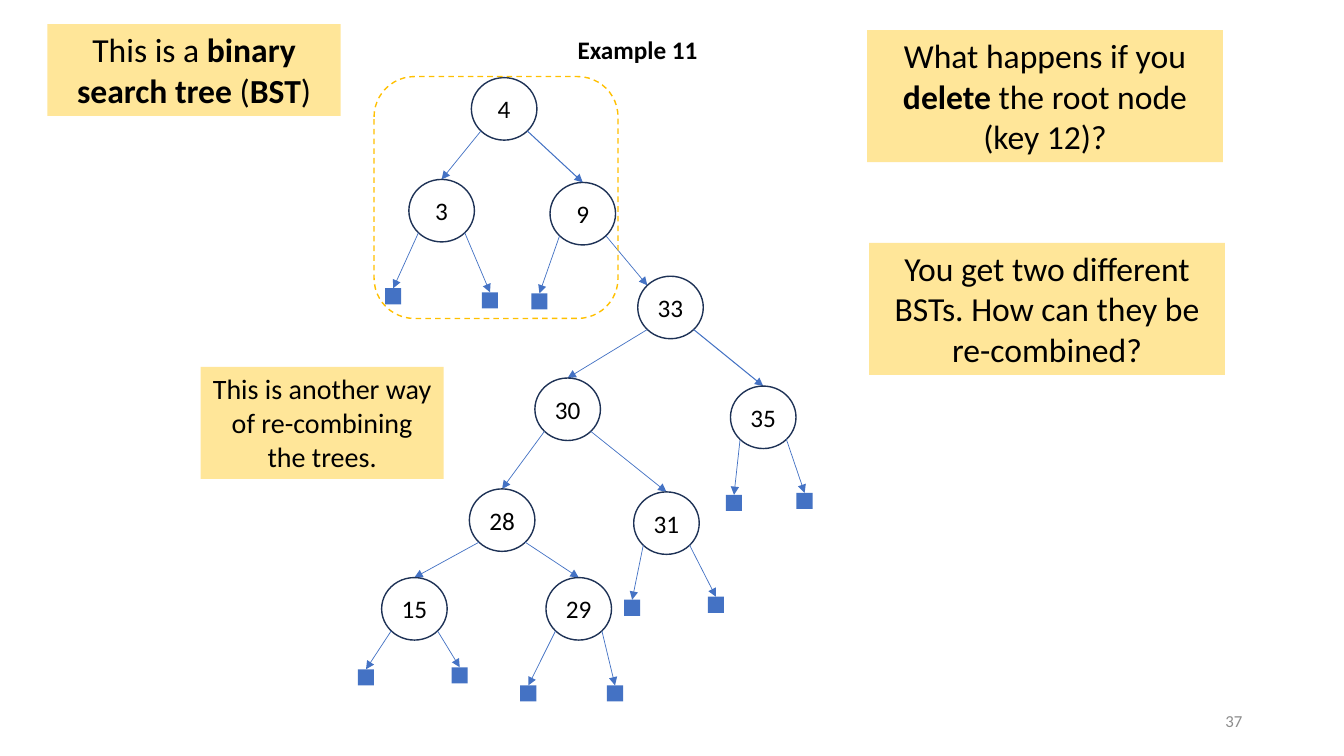
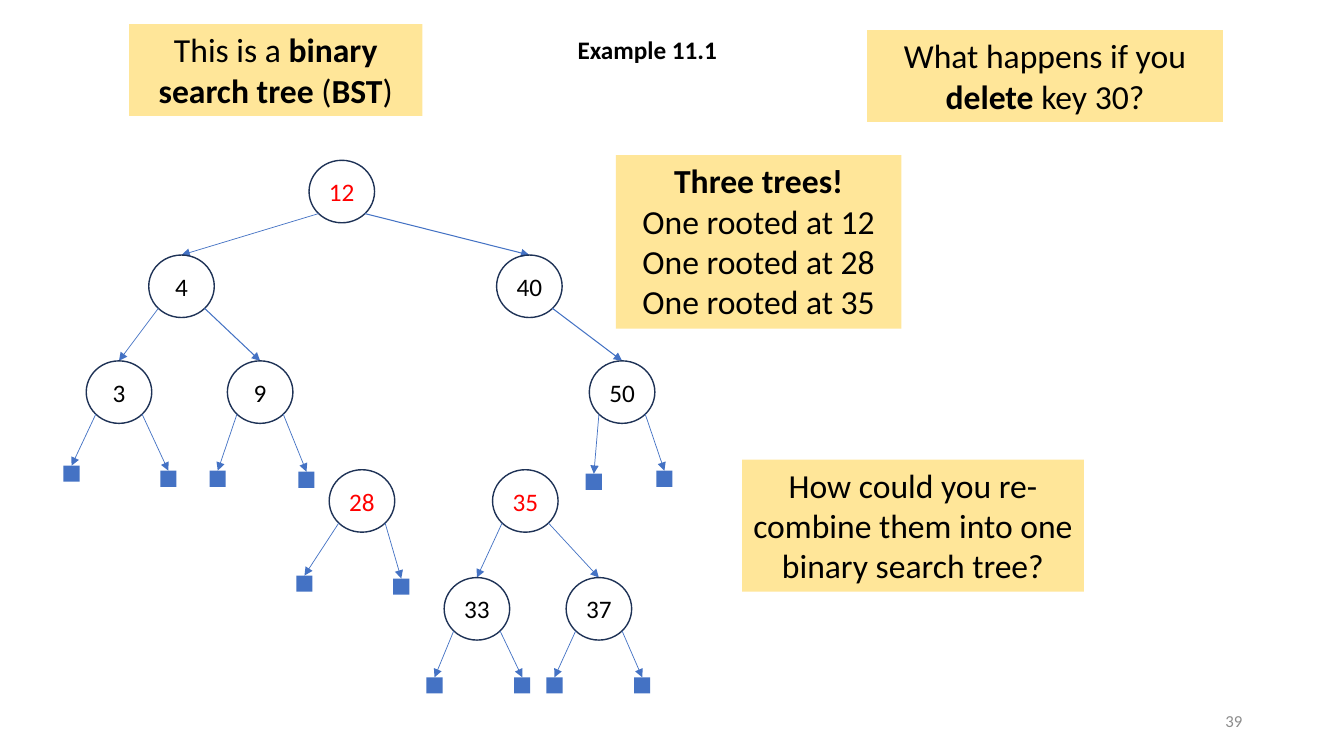
from dataclasses import dataclass
from math import sqrt
from typing import Optional

from lxml.etree import SubElement
from pptx import Presentation
from pptx.dml.color import RGBColor
from pptx.enum.dml import MSO_LINE
from pptx.enum.shapes import MSO_CONNECTOR, MSO_SHAPE
from pptx.enum.text import MSO_ANCHOR, MSO_AUTO_SIZE, PP_ALIGN
from pptx.oxml.ns import qn
from pptx.util import Inches, Pt

COLORS = {
    "note": "FFE699", "text": "000000", "root": "FF0000", "number": "8C8C8C",
    "circle": "1E3256", "edge": "4472C4", "frame": "FFC000",
}
FONT = "Calibri"

# Boxes are (column, row, columns, rows) on a grid of one-inch cells
SLIDE_COLUMNS, SLIDE_ROWS = 13.33, 7.5
TITLE_BOX = (5.63, 0.29, 1.6, 0.4)
NUMBER_BOX = (9.42, 6.95, 3, 0.4)
NODE_WIDTH, NODE_HEIGHT, LEAF_SIZE = 0.65, 0.62, 0.16
DIAGONAL = sqrt(0.5) / 2  # share of an ellipse's size, from centre to diagonal point


@dataclass
class Node:
    """A tree node: its top centre is an offset from its parent's top centre."""
    key: Optional[int]
    across: float
    down: float
    children: tuple = ()
    edge: float = 0.5
    color: str = "text"
    enter_left: bool = False


def leaf(across, down):
    return Node(None, across, down)


def rgb(name):
    return RGBColor.from_string(COLORS[name])


def apply(target, formats):
    for name, value in formats.items():
        setattr(target, name, value)


def write(shape, text, size, color="text", align=PP_ALIGN.CENTER, **frame_formats):
    """Fill a shape with text; **double stars** mark bold, a newline breaks the line."""
    frame = shape.text_frame
    apply(frame, {"word_wrap": True, **frame_formats})
    paragraph = frame.paragraphs[0]
    paragraph.alignment = align
    for index, part in enumerate(text.split("**")):
        for line_index, line in enumerate(part.split("\n")):
            if line_index:
                paragraph.add_line_break()
            if line:
                run = paragraph.add_run()
                run.text = line
                apply(run.font, {"name": FONT, "size": Pt(size), "bold": index % 2 == 1})
                run.font.color.rgb = rgb(color)


def add_shape(slide, kind, box, fill=None, line=None):
    shape = slide.shapes.add_shape(kind, *map(Inches, box))
    shape.shadow.inherit = False
    if fill:
        shape.fill.solid()
        shape.fill.fore_color.rgb = rgb(fill)
    else:
        shape.fill.background()
    if line:
        shape.line.color.rgb = rgb(line)
        shape.line.width = Pt(1)
    else:
        shape.line.fill.background()
    return shape


def add_text(slide, box, text, size, **formats):
    write(slide.shapes.add_textbox(*map(Inches, box)), text, size, **formats)


def add_note(slide, box, text, size=24):
    note = add_shape(slide, MSO_SHAPE.RECTANGLE, box, fill="note")
    write(note, text, size, vertical_anchor=MSO_ANCHOR.TOP,
          auto_size=MSO_AUTO_SIZE.SHAPE_TO_FIT_TEXT)


def add_arrow(slide, start, end, width):
    arrow = slide.shapes.add_connector(MSO_CONNECTOR.STRAIGHT, *map(Inches, start + end))
    arrow.line.color.rgb = rgb("edge")
    arrow.line.width = Pt(width)
    SubElement(arrow.line._get_or_add_ln(), qn("a:tailEnd"), type="triangle")
    SubElement(arrow._element.spPr, qn("a:effectLst"))


def diagonal_point(center_x, top, side, vertical):
    """Point on a node's outline: side and vertical are -1 or 1."""
    return (center_x + side * DIAGONAL * NODE_WIDTH,
            top + NODE_HEIGHT / 2 + vertical * DIAGONAL * NODE_HEIGHT)


def add_tree(slide, node, origin=(0, 0)):
    """Draw a node and everything below it, relative to the origin."""
    x, top = origin[0] + node.across, origin[1] + node.down
    if node.key is None:
        add_shape(slide, MSO_SHAPE.RECTANGLE,
                  (x - LEAF_SIZE / 2, top, LEAF_SIZE, LEAF_SIZE), fill="edge")
        return
    circle = add_shape(slide, MSO_SHAPE.OVAL,
                       (x - NODE_WIDTH / 2, top, NODE_WIDTH, NODE_HEIGHT), line="circle")
    write(circle, str(node.key), 18, node.color, vertical_anchor=MSO_ANCHOR.MIDDLE,
          margin_left=0, margin_right=0, margin_top=0, margin_bottom=0)
    for child in node.children:
        side = 1 if child.across > 0 else -1
        end = (x + child.across, top + child.down)
        if child.enter_left:
            end = diagonal_point(*end, -1, -1)
        add_arrow(slide, diagonal_point(x, top, side, 1), end, child.edge)
        add_tree(slide, child, (x, top))


def add_example(presentation, title, number, notes, trees, frame=None):
    slide = presentation.slides.add_slide(presentation.slide_layouts[6])
    add_text(slide, TITLE_BOX, f"**{title}**", 18, align=PP_ALIGN.LEFT, word_wrap=False)
    for note in notes:
        add_note(slide, *note)
    for tree in trees:
        add_tree(slide, tree)
    if frame:
        outline = add_shape(slide, MSO_SHAPE.ROUNDED_RECTANGLE, frame, line="frame")
        outline.line.dash_style = MSO_LINE.DASH
    add_text(slide, NUMBER_BOX, str(number), 12, color="number", align=PP_ALIGN.RIGHT,
             vertical_anchor=MSO_ANCHOR.MIDDLE)


BST_TEXT = "This is a **binary search tree** (**BST**)"

# Recombined tree
NODE_15 = Node(15, -0.87, 0.88, (leaf(-0.48, 0.91), leaf(0.45, 0.89)))
NODE_29 = Node(29, 0.76, 0.88, (leaf(-0.5, 1.07), leaf(0.36, 1.07)))
NODE_28 = Node(28, -0.65, 1.1, (NODE_15, NODE_29))
NODE_31 = Node(31, 0.98, 1.13, (leaf(-0.34, 1.07), leaf(0.49, 1.04)))
NODE_30 = Node(30, -1.02, 1.01, (NODE_28, NODE_31))
NODE_35 = Node(35, 0.92, 1.09, (leaf(-0.29, 1.08), leaf(0.41, 1.06)), edge=0.75)
NODE_33 = Node(33, 0.87, 0.93, (NODE_30, NODE_35), enter_left=True)
RECOMBINED = Node(4, 5, 0.77, (
    Node(3, -0.62, 1.01, (leaf(-0.48, 1.08), leaf(0.48, 1.12))),
    Node(9, 0.78, 1.04, (leaf(-0.43, 1.1), NODE_33), edge=0.75),
))

# Three separate trees
LEFT_OF_12 = Node(4, -1.59, 0.94, (
    Node(3, -0.62, 1.05, (leaf(-0.47, 1.04), leaf(0.49, 1.09))),
    Node(9, 0.78, 1.05, (leaf(-0.42, 1.09), leaf(0.46, 1.1)), edge=0.75),
))
RIGHT_OF_12 = Node(40, 1.86, 0.94, (
    Node(50, 0.92, 1.05, (leaf(-0.28, 1.12), leaf(0.42, 1.09)), edge=0.75),
), edge=0.75)
THREE_TREES = [
    Node(12, 3.39, 1.59, (LEFT_OF_12, RIGHT_OF_12), color="root"),
    Node(28, 3.59, 4.66, (leaf(-0.57, 1.05), leaf(0.39, 1.08)), color="root"),
    Node(35, 5.21, 4.66, (
        Node(33, -0.48, 1.07, (leaf(-0.42, 0.99), leaf(0.45, 0.99))),
        Node(37, 0.73, 1.07, (leaf(-0.44, 0.99), leaf(0.43, 0.99))),
    ), color="root"),
]


def main():
    presentation = Presentation()
    presentation.slide_width = Inches(SLIDE_COLUMNS)
    presentation.slide_height = Inches(SLIDE_ROWS)

    add_example(presentation, "Example 11", 37, [
        ((0.47, 0.24, 2.91, 0.91), BST_TEXT),
        ((8.6, 0.3, 3.53, 1.31), "What happens if you **delete** the root node (key 12)?"),
        ((8.62, 2.41, 3.53, 1.31), "You get two different BSTs. How can they be re-combined?"),
        ((1.99, 3.64, 2.41, 1.11), "This is another way of re-combining the trees.", 20),
    ], [RECOMBINED], frame=(3.71, 0.76, 2.42, 2.4))

    add_example(presentation, "Example 11.1", 39, [
        ((1.28, 0.24, 2.91, 0.91), BST_TEXT),
        ((8.6, 0.3, 3.53, 0.91), "What happens if you **delete** key 30?"),
        ((6.11, 1.54, 2.83, 1.72),
         "**Three trees!**\nOne rooted at 12\nOne rooted at 28\nOne rooted at 35"),
        ((7.36, 4.56, 3.39, 1.31),
         "How could you re-combine them into one binary search tree?"),
    ], THREE_TREES)

    presentation.save("out.pptx")


if __name__ == "__main__":
    main()
